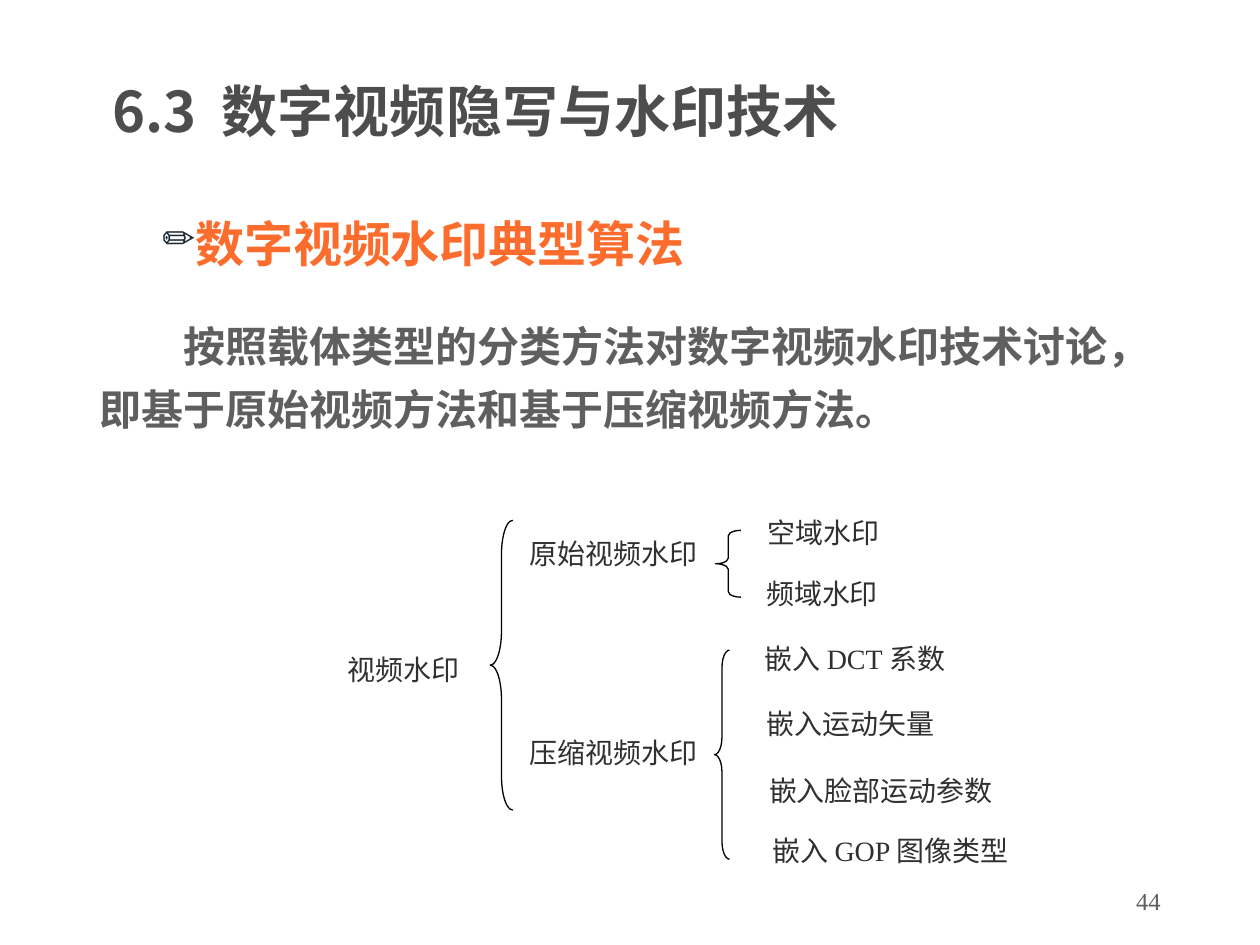
from dataclasses import dataclass

from lxml.etree import SubElement
from pptx import Presentation
from pptx.dml.color import RGBColor
from pptx.enum.shapes import MSO_SHAPE
from pptx.enum.text import MSO_ANCHOR, PP_ALIGN
from pptx.oxml.ns import qn
from pptx.util import Inches, Pt


@dataclass(frozen=True)
class Theme:
    sans: str = "Noto Sans CJK SC"
    arial: str = "Arial"
    serif: str = "Times New Roman"
    title: str = "4D4D4D"
    accent: str = "FC6C2C"
    body: str = "5F5F5F"
    label: str = "303030"
    bullet: str = "1C2B38"
    brace: str = "000000"
    title_size: int = 32
    heading_size: int = 28
    body_size: int = 24
    label_size: int = 16
    number_size: int = 14


THEME = Theme()

LABELS = [
    ("视频水印", 2.6, 5.13, 1.21),
    ("原始视频水印", 4.06, 4.21, 1.62),
    ("压缩视频水印", 4.06, 5.79, 1.62),
    ("空域水印", 5.89, 4.04, 1.29),
    ("频域水印", 5.88, 4.53, 1.29),
    ("嵌入 DCT 系数", 5.87, 5.04, 1.83),
    ("嵌入运动矢量", 5.94, 5.56, 1.62),
    ("嵌入脸部运动参数", 5.95, 6.09, 2.08),
    ("嵌入 GOP 图像类型", 5.94, 6.57, 2.25),
]

BRACES = [
    (3.89, 4.13, 0.18, 2.3, 1.49),
    (5.68, 4.21, 0.2, 0.53, 0.22),
    (5.67, 5.16, 0.12, 1.66, 1.16),
]


def add_box(page, left, top, width, height, anchor=MSO_ANCHOR.TOP):
    box = page.shapes.add_textbox(
        Inches(left), Inches(top), Inches(width), Inches(height)
    )
    frame = box.text_frame
    frame.word_wrap = True
    frame.vertical_anchor = anchor
    return frame


def write(para, text, *, size, color, font, bold=False, align=PP_ALIGN.LEFT,
          indent=0, line_spacing=None, space_before=0):
    para.alignment = align
    para.line_spacing = line_spacing
    para.space_before = Pt(space_before)
    para._p.get_or_add_pPr().set("indent", str(Inches(indent)))
    span = para.add_run()
    span.text = text
    span.font.size = Pt(size)
    span.font.bold = bold
    span.font.color.rgb = RGBColor.from_string(color)
    span.font.name = font
    SubElement(span._r.get_or_add_rPr(), qn("a:ea"), typeface=THEME.sans)


def add_bullet(para, character, color, percent):
    properties = para._p.get_or_add_pPr()
    fill = SubElement(properties, qn("a:buClr"))
    SubElement(fill, qn("a:srgbClr"), val=color)
    SubElement(properties, qn("a:buSzPct"), val=str(percent * 1000))
    SubElement(properties, qn("a:buChar"), char=character)


def add_title(page):
    frame = add_box(page, 0.69, 0.4, 8.63, 0.94, MSO_ANCHOR.MIDDLE)
    frame.margin_left = Inches(0.2)
    write(frame.paragraphs[0], "6.3  数字视频隐写与水印技术",
          size=THEME.title_size, color=THEME.title, font=THEME.sans, bold=True)


def add_body(page):
    frame = add_box(page, 0.69, 1.53, 8.63, 5.42)
    heading = frame.paragraphs[0]
    add_bullet(heading, "✏", THEME.bullet, 80)
    write(heading, "数字视频水印典型算法", size=THEME.heading_size,
          color=THEME.accent, font=THEME.arial, bold=True,
          indent=0.5, line_spacing=1.25)
    write(frame.add_paragraph(),
          "按照载体类型的分类方法对数字视频水印技术讨论，"
          "即基于原始视频方法和基于压缩视频方法。",
          size=THEME.body_size, color=THEME.body, font=THEME.sans, bold=True,
          indent=0.67, line_spacing=1.25, space_before=20)


def add_label(page, text, left, top, width):
    frame = add_box(page, left, top, width, 0.53)
    write(frame.paragraphs[0], text, size=THEME.label_size, color=THEME.label,
          font=THEME.serif, align=PP_ALIGN.CENTER)


def add_brace(page, left, top, width, height, curve):
    brace = page.shapes.add_shape(
        MSO_SHAPE.LEFT_BRACE,
        Inches(left), Inches(top), Inches(width), Inches(height),
    )
    brace.shadow.inherit = False
    brace.fill.background()
    brace.line.color.rgb = RGBColor.from_string(THEME.brace)
    brace.line.width = Pt(0.75)
    brace.adjustments[0] = curve
    brace.adjustments[1] = 0.5


def add_page_number(page, number):
    frame = add_box(page, 7.06, 6.95, 2.25, 0.4, MSO_ANCHOR.MIDDLE)
    write(frame.paragraphs[0], number, size=THEME.number_size,
          color=THEME.body, font=THEME.serif, align=PP_ALIGN.RIGHT)


def main():
    deck = Presentation()
    deck.slide_width = Inches(10)
    deck.slide_height = Inches(7.5)
    page = deck.slides.add_slide(deck.slide_layouts[6])
    add_page_number(page, "44")
    add_title(page)
    add_body(page)
    for label in LABELS:
        add_label(page, *label)
    for brace in BRACES:
        add_brace(page, *brace)
    deck.save("out.pptx")


if __name__ == "__main__":
    main()
